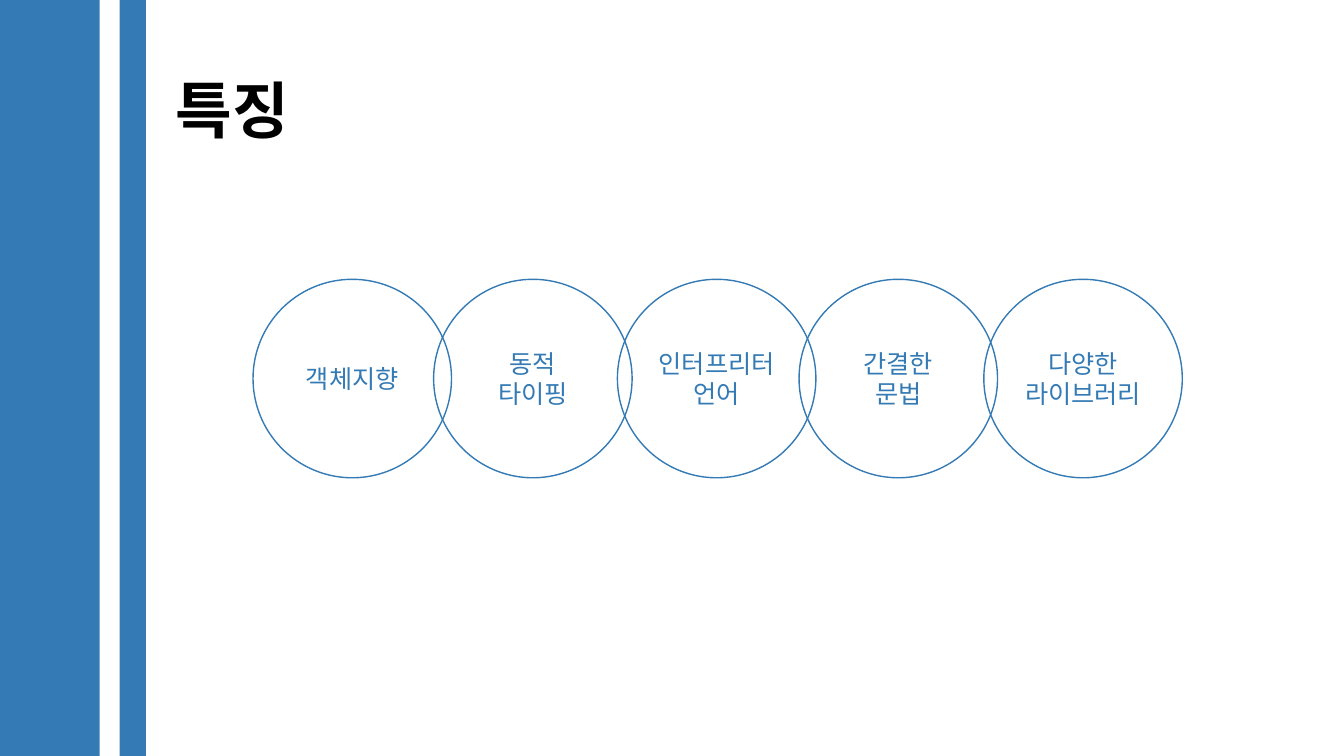
import pptx
import pptx.dml.color
import pptx.enum.shapes
import pptx.enum.text
import pptx.oxml.ns
import pptx.util
from lxml import etree

BLUE = pptx.dml.color.RGBColor(0x34, 0x7A, 0xB4)
BLACK = pptx.dml.color.RGBColor(0, 0, 0)
PX = 9525
WIDTH, HEIGHT = 1280, 720
CIRCLE_TOP, CIRCLE_SIZE = 266, 189

BARS = [(0, 95), (114, 25)]
FEATURES = [
    (241, ["객체지향"]),
    (413, ["동적", "타이핑"]),
    (588, ["인터프리터", "언어"]),
    (761, ["간결한", "문법"]),
    (937, ["다양한", "라이브러리"]),
]


class SlideBuilder:
    """Draws styled elements on one slide, with lengths in px."""

    font_name = "Noto Sans CJK KR"

    def __init__(self, slide):
        self.slide = slide
        self.shape_types = pptx.enum.shapes.MSO_SHAPE
        self.alignments = pptx.enum.text.PP_ALIGN

    def box(self, *lengths):
        return [pptx.util.Emu(length * PX) for length in lengths]

    def add_lines(self, shape, lines, size, color, alignment, bold=False, spacing=None):
        frame = shape.text_frame
        frame.word_wrap = True
        frame.vertical_anchor = pptx.enum.text.MSO_ANCHOR.MIDDLE
        for index, line in enumerate(lines):
            paragraph = frame.add_paragraph() if index else frame.paragraphs[0]
            paragraph.alignment = alignment
            paragraph.line_spacing = spacing
            run = paragraph.add_run()
            run.text = line
            run.font.name = self.font_name
            run.font.size = pptx.util.Pt(size)
            run.font.bold = bold
            run.font.color.rgb = color
            properties = run._r.get_or_add_rPr()
            east_asian = etree.SubElement(properties, pptx.oxml.ns.qn("a:ea"))
            east_asian.set("typeface", self.font_name)

    def bar(self, left, width):
        shape = self.slide.shapes.add_shape(
            self.shape_types.RECTANGLE, *self.box(left, 0, width, HEIGHT))
        shape.shadow.inherit = False
        shape.fill.solid()
        shape.fill.fore_color.rgb = BLUE
        shape.line.fill.background()

    def title(self, text, left, top, width, height):
        shape = self.slide.shapes.add_textbox(*self.box(left, top, width, height))
        self.add_lines(shape, [text], 44, BLACK, self.alignments.LEFT, bold=True, spacing=0.9)

    def circle(self, left, lines):
        shape = self.slide.shapes.add_shape(
            self.shape_types.OVAL, *self.box(left, CIRCLE_TOP, CIRCLE_SIZE, CIRCLE_SIZE))
        shape.shadow.inherit = False
        shape.fill.background()
        shape.line.color.rgb = BLUE
        shape.line.width = pptx.util.Pt(1)
        self.add_lines(shape, lines, 18, BLUE, self.alignments.CENTER)


def main():
    presentation = pptx.Presentation()
    presentation.slide_width = pptx.util.Emu(WIDTH * PX)
    presentation.slide_height = pptx.util.Emu(HEIGHT * PX)
    slide = presentation.slides.add_slide(presentation.slide_layouts[6])
    builder = SlideBuilder(slide)
    for left, width in BARS:
        builder.bar(left, width)
    builder.title("특징", 158, 39, 1104, 139)
    for left, lines in FEATURES:
        builder.circle(left, lines)
    presentation.save("out.pptx")


if __name__ == "__main__":
    main()
